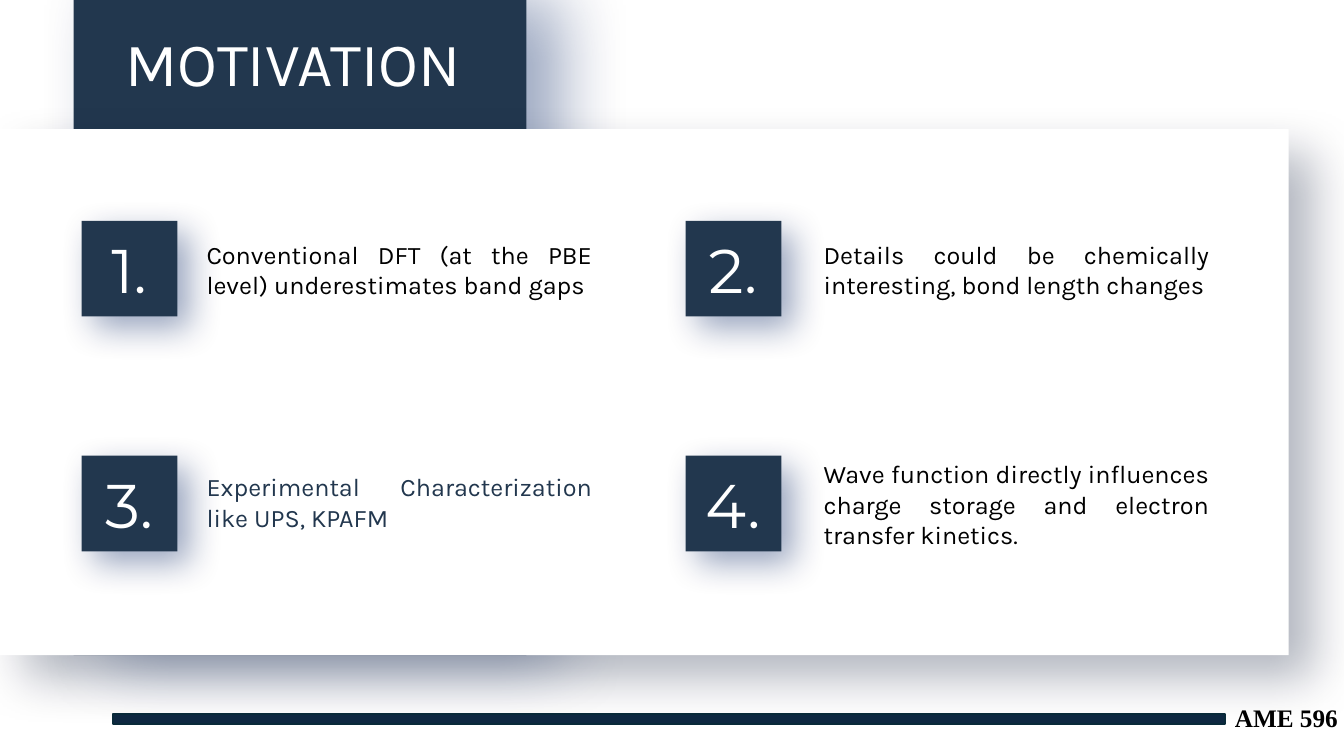
from dataclasses import dataclass
from typing import Any

from lxml import etree
from pptx import Presentation
from pptx import util as u
from pptx.dml import color
from pptx.enum import shapes, text
from pptx.oxml import ns

BOX = shapes.MSO_SHAPE.RECTANGLE
LEFT, MID, FULL = text.PP_ALIGN.LEFT, text.PP_ALIGN.CENTER, text.PP_ALIGN.JUSTIFY


def rgb(code):
    return color.RGBColor.from_string(code)


def write(frame, words, font="Karla", size=18, ink="000000", bold=False, align=LEFT):
    para = frame.paragraphs[0]
    para.alignment = align
    run = para.add_run()
    run.text = words
    run.font.name, run.font.size, run.font.bold = font, u.Pt(size), bold
    run.font.color.rgb = rgb(ink)


@dataclass
class Deck:
    slide: Any
    navy: str = "22374E"
    white: str = "FFFFFF"

    def rect(self, x, y, w, h, fill, line=None, shade=None):
        shape = self.slide.shapes.add_shape(BOX, *map(u.Inches, (x, y, w, h)))
        shape.fill.solid()
        shape.fill.fore_color.rgb = rgb(fill)
        if line:
            shape.line.color.rgb = rgb(line)
            shape.line.width = u.Pt(1.5)
        else:
            shape.line.fill.background()
        shape.shadow.inherit = False
        if shade:
            self.glow(shape, *shade)

    def glow(self, shape, tint, alpha, blur, dist, angle):
        """Fill the empty effect list with an outer shadow."""
        root = shape.element.spPr.find(ns.qn("a:effectLst"))
        outer = etree.SubElement(root, ns.qn("a:outerShdw"), blurRad=str(u.Pt(blur)),
                                 dist=str(u.Pt(dist)), dir=str(angle * 60000),
                                 algn="tl", rotWithShape="0")
        hue = etree.SubElement(outer, ns.qn("a:srgbClr"), val=tint)
        etree.SubElement(hue, ns.qn("a:alpha"), val=str(alpha * 1000))

    def label(self, x, y, w, h, words, wrap=True, **style):
        frame = self.slide.shapes.add_textbox(*map(u.Inches, (x, y, w, h))).text_frame
        frame.word_wrap = wrap
        frame.auto_size = text.MSO_AUTO_SIZE.SHAPE_TO_FIT_TEXT
        write(frame, words, **style)

    def point(self, num, x, y, gap, top, high, words, ink="000000"):
        """Numbered tile with its statement to the right."""
        self.rect(x, y, 0.95, 0.95, self.navy, shade=("002060", 40, 25, 12, 45))
        self.label(x + 0.06, y + 0.06, 0.82, 0.84, f"{num}.",
                   font="Montserrat", size=44, ink=self.white, align=MID)
        self.label(x + gap, top, 4.02, high, words, ink=ink, align=FULL)


def main():
    prs = Presentation()
    prs.slide_width, prs.slide_height = u.Inches(13.33), u.Inches(7.5)
    deck = Deck(prs.slides.add_slide(prs.slide_layouts[6]))

    # Title band behind the white panel
    deck.rect(0.73, 0, 4.49, 6.5, deck.navy, shade=("002060", 40, 50, 25, 0))
    deck.rect(0, 1.28, 12.78, 5.22, deck.white, shade=("000F2E", 30, 35, 25, 45))
    deck.label(1.06, 0.2, 3.84, 0.84, "MOTIVATION ", size=44, ink=deck.white, align=MID)

    # Four points in two columns: words, text top, text height, ink
    points = [
        ("Conventional DFT (at the PBE level) underestimates band gaps",
         2.32, 0.71, "000000"),
        ("Details could be chemically interesting, bond length changes",
         2.32, 0.71, "000000"),
        ("Experimental Characterization like UPS, KPAFM", 4.63, 0.71, deck.navy),
        ("Wave function directly influences charge storage and electron "
         "transfer kinetics.", 4.5, 1.01, "000000"),
    ]
    cols = [(0.81, 1.14), (6.8, 1.27)]
    for i, (words, top, high, ink) in enumerate(points):
        row, col = divmod(i, 2)
        x, gap = cols[col]
        deck.point(i + 1, x, 2.19 + 2.33 * row, gap, top, high, words, ink)

    # Footer bar and course code
    deck.rect(1.12, 7.08, 11.03, 0.1, "0E2841", line="092A39")
    deck.label(12.15, 6.92, 1.23, 0.4, "AME 596", wrap=False,
               font="Times New Roman", bold=True)

    prs.save("out.pptx")


if __name__ == "__main__":
    main()
